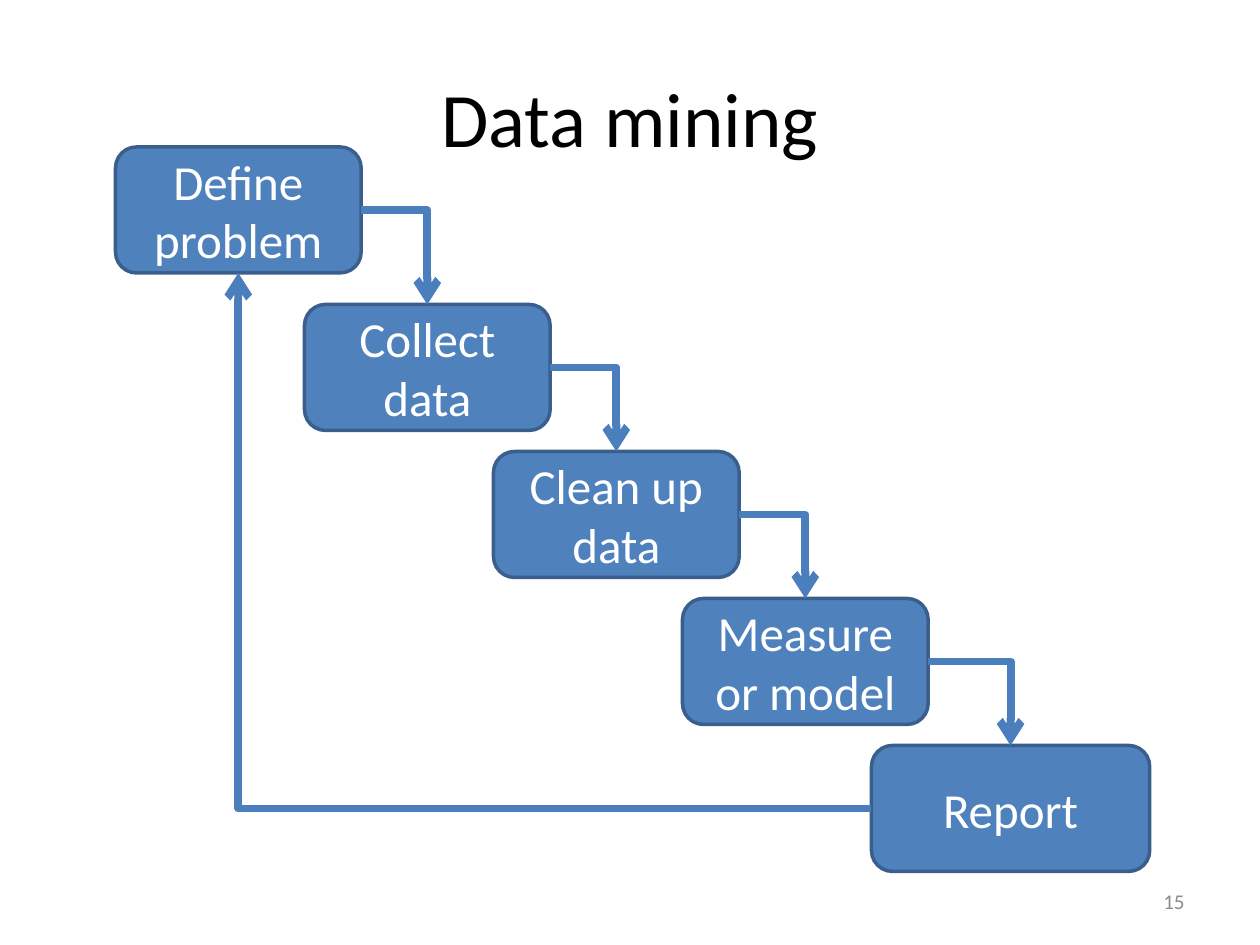
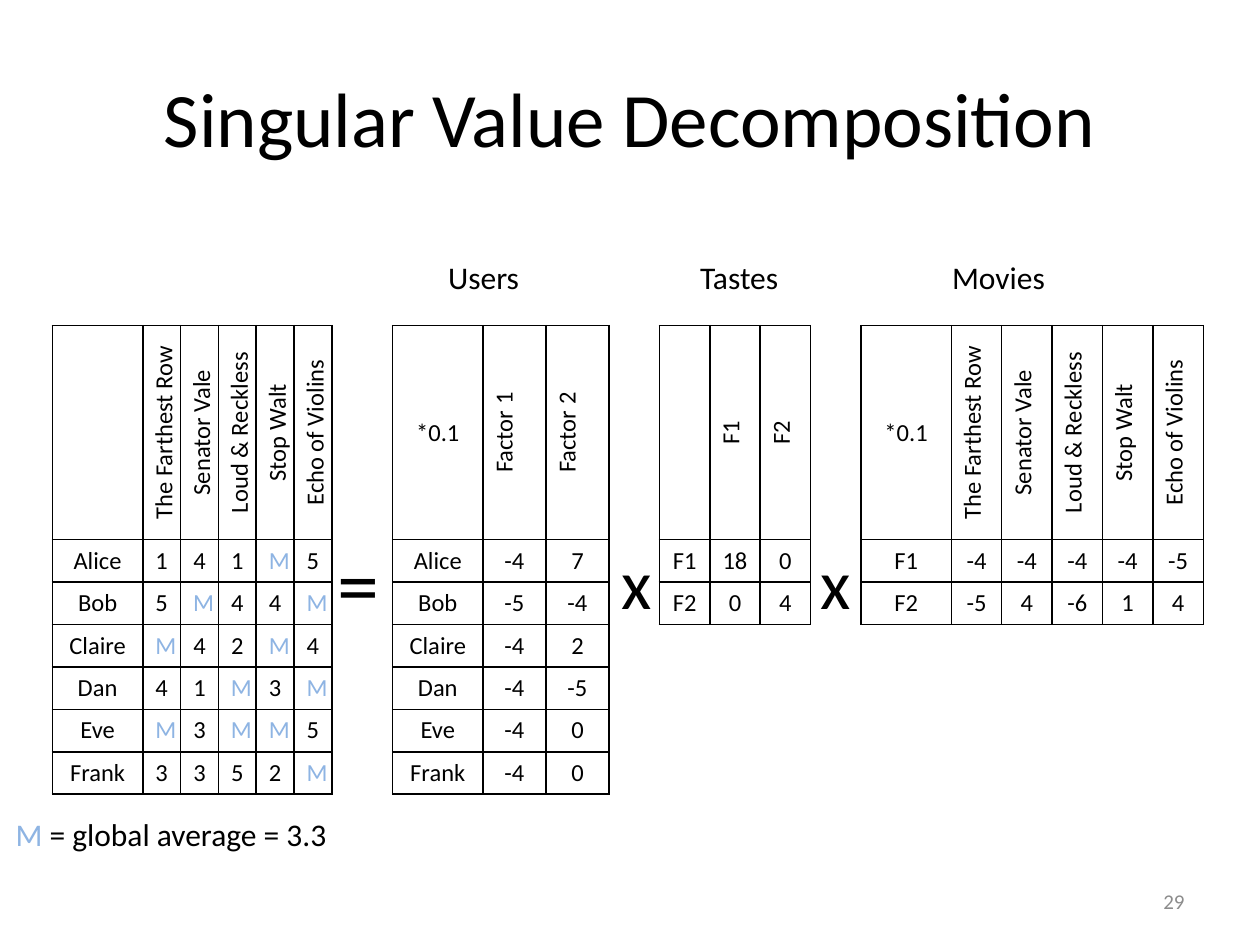
from dataclasses import dataclass
from itertools import pairwise

from lxml.etree import SubElement
from pptx import Presentation
from pptx.dml.color import RGBColor as Rgb
from pptx.enum.shapes import MSO_CONNECTOR as Link, MSO_SHAPE as Shape
from pptx.enum.text import MSO_ANCHOR as Anchor, PP_ALIGN as Align
from pptx.oxml import parse_xml
from pptx.oxml.ns import nsdecls, qn
from pptx.util import Inches, Pt


@dataclass(frozen=True)
class Theme:
    face: str = "Calibri"
    ink: str = "000000"
    gray: str = "8C8C8C"
    white: str = "FFFFFF"
    blue: str = "4F81BD"
    edge: str = "3A5F8C"
    arrow: str = "4B7EBC"
    pale: str = "8EB4E3"
    title: int = 44
    equal: int = 48
    times: int = 40
    step: int = 28
    label: int = 18
    cell: int = 14
    page: int = 12


T = Theme()
COLS, ROWS = 120, 90
WIDE, HIGH = Inches(10), Inches(7.5)
TOP, LEFT, BOTTOM, RIGHT = range(4)

STEPS = ["Define problem", "Collect data", "Clean up data",
         "Measure or model", "Report"]
FILMS = ["The Farthest Row", "Senator Vale", "Loud & Reckless",
         "Stop Walt", "Echo of Violins"]
RATES = [["", *FILMS],
         ["Alice", "1", "4", "1", "M", "5"],
         ["Bob", "5", "M", "4", "4", "M"],
         ["Claire", "M", "4", "2", "M", "4"],
         ["Dan", "4", "1", "M", "3", "M"],
         ["Eve", "M", "3", "M", "M", "5"],
         ["Frank", "3", "3", "5", "2", "M"]]
USERS = [["*0.1", "Factor 1", "Factor 2"],
         ["Alice", "-4", "7"],
         ["Bob", "-5", "-4"],
         ["Claire", "-4", "2"],
         ["Dan", "-4", "-5"],
         ["Eve", "-4", "0"],
         ["Frank", "-4", "0"]]
TASTES = [["", "F1", "F2"],
          ["F1", "18", "0"],
          ["F2", "0", "4"]]
MOVIES = [["*0.1", *FILMS],
          ["F1", "-4", "-4", "-4", "-4", "-5"],
          ["F2", "-5", "4", "-6", "1", "4"]]


def col(n):
    return round(WIDE * n / COLS)


def row(n):
    return round(HIGH * n / ROWS)


def grid(x, y, w, h):
    """Turn grid columns and rows into slide lengths."""
    return col(x), row(y), col(w), row(h)


def style(par, size, color=T.ink, align=Align.CENTER):
    par.alignment = align
    font = par.font
    font.name, font.size = T.face, Pt(size)
    font.color.rgb = Rgb.from_string(color)


def label(slide, box, text, size, color=T.ink, align=Align.LEFT,
          anchor=Anchor.TOP):
    frame = slide.shapes.add_textbox(*grid(*box)).text_frame
    frame.word_wrap, frame.vertical_anchor = True, anchor
    frame.text = text
    style(frame.paragraphs[0], size, color, align)
    return frame.paragraphs[0]


def start(deck, title, page):
    """Add a slide with its title and page number."""
    slide = deck.slides.add_slide(deck.slide_layouts[5])
    head = slide.shapes.title
    head.left, head.top, head.width, head.height = grid(6, 3.6, 108, 15)
    head.text_frame.text = title
    head.text_frame.vertical_anchor = Anchor.MIDDLE
    style(head.text_frame.paragraphs[0], T.title)
    label(slide, (86, 83.4, 28, 4.8), page, T.page, T.gray, Align.RIGHT,
          Anchor.MIDDLE)
    return slide


def step(slide, box, text):
    card = slide.shapes.add_shape(Shape.ROUNDED_RECTANGLE, *grid(*box))
    card.shadow.inherit = False
    card.fill.solid()
    card.fill.fore_color.rgb = Rgb.from_string(T.blue)
    card.line.color.rgb = Rgb.from_string(T.edge)
    card.line.width = Pt(2)
    card.text_frame.text = text
    card.text_frame.vertical_anchor = Anchor.MIDDLE
    style(card.text_frame.paragraphs[0], T.step, T.white)
    return card


def join(slide, tail, exit, head, entry):
    """Run an arrow with one bend from a side of tail to a side of head."""
    line = slide.shapes.add_connector(Link.ELBOW, 0, 0, 0, 0)
    line.begin_connect(tail, exit)
    line.end_connect(head, entry)
    line.line.color.rgb = Rgb.from_string(T.arrow)
    line.line.width = Pt(4.5)
    prop = line._element.spPr
    prop.find(qn("a:prstGeom")).set("prst", "bentConnector2")
    SubElement(prop.find(qn("a:ln")), qn("a:tailEnd"), type="arrow")
    SubElement(prop, qn("a:effectLst"))
    form = prop.find(qn("a:xfrm"))
    if form.get("flipH") and form.get("flipV"):
        del form.attrib["flipH"], form.attrib["flipV"]
        form.set("rot", "10800000")


def stairs(slide, x, y):
    """Place the steps from the top left corner and link them in a loop."""
    cards = []
    for i, text in enumerate(STEPS):
        drop = 14 * i + (1 if i else 0)
        wide = 26.5 if text == STEPS[-1] else 23.4
        cards.append(step(slide, (x + 18 * i, y + drop, wide, 12), text))
    join(slide, cards[-1], LEFT, cards[0], BOTTOM)
    for tail, head in pairwise(cards):
        join(slide, tail, RIGHT, head, TOP)


def rule(cell):
    """Give a cell no fill and a thin line on each side."""
    cell.fill.background()
    prop = cell._tc.get_or_add_tcPr()
    for i, side in enumerate("LRTB"):
        prop.insert(i, parse_xml(
            f'<a:ln{side} {nsdecls("a")} w="{Pt(1)}"><a:solidFill>'
            f'<a:srgbClr val="{T.ink}"/></a:solidFill></a:ln{side}>'))


def matrix(slide, x, y, data, first, rest):
    """Draw a table whose column heads stand upright."""
    widths = [first] + [rest] * (len(data[0]) - 1)
    highs = [20.4] + [4.04] * (len(data) - 1)
    table = slide.shapes.add_table(
        len(highs), len(widths),
        *grid(x, y, sum(widths), sum(highs))).table
    table.first_row = table.horz_banding = False
    for part, wide in zip(table.columns, widths):
        part.width = col(wide)
    for part, high in zip(table.rows, highs):
        part.height = row(high)
    for r, line in enumerate(data):
        for c, text in enumerate(line):
            cell = table.cell(r, c)
            cell.text = text
            cell.vertical_anchor = Anchor.MIDDLE
            style(cell.text_frame.paragraphs[0], T.cell,
                  T.pale if text == "M" else T.ink)
            rule(cell)
            if r == 0 and c:
                cell._tc.tcPr.set("vert", "vert270")


def heads(slide, x, y, names, gap):
    """Write names on one line, a tab stop every gap columns."""
    par = label(slide, (x, y, 71, 4.8), "\t".join(names), T.label)
    stops = "".join(f'<a:tab pos="{col(gap * i)}" algn="l"/>'
                    for i in range(1, len(names)))
    par._p.get_or_add_pPr().insert(
        0, parse_xml(f'<a:tabLst {nsdecls("a")}>{stops}</a:tabLst>'))


def product(slide, y):
    """Set out the rating matrix as a product of three, below row y."""
    heads(slide, 41.5, y, ["Users", "Tastes", "Movies"], 24)
    for x, data, first, rest in [(5, RATES, 8.6, 3.6), (37.4, USERS, 8.6, 6),
                                 (62.8, TASTES, 4.8, 4.8),
                                 (82, MOVIES, 8.6, 4.8)]:
        matrix(slide, x, y + 7, data, first, rest)
    label(slide, (31, y + 26, 6, 11), "=", T.equal)
    for x in (58, 77):
        label(slide, (x, y + 26.8, 6, 9.2), "x", T.times)
    note = label(slide, (0.3, y + 53, 32.6, 4.8), "", T.label)
    for text, color in [("M ", T.pale), ("= global average = 3.3", T.ink)]:
        run = note.add_run()
        run.text = text
        run.font.color.rgb = Rgb.from_string(color)


def main():
    deck = Presentation()
    deck.slide_width, deck.slide_height = WIDE, HIGH
    stairs(start(deck, "Data mining", "15"), 11, 14)
    product(start(deck, "Singular Value Decomposition", "29"), 24)
    deck.save("out.pptx")


if __name__ == "__main__":
    main()
